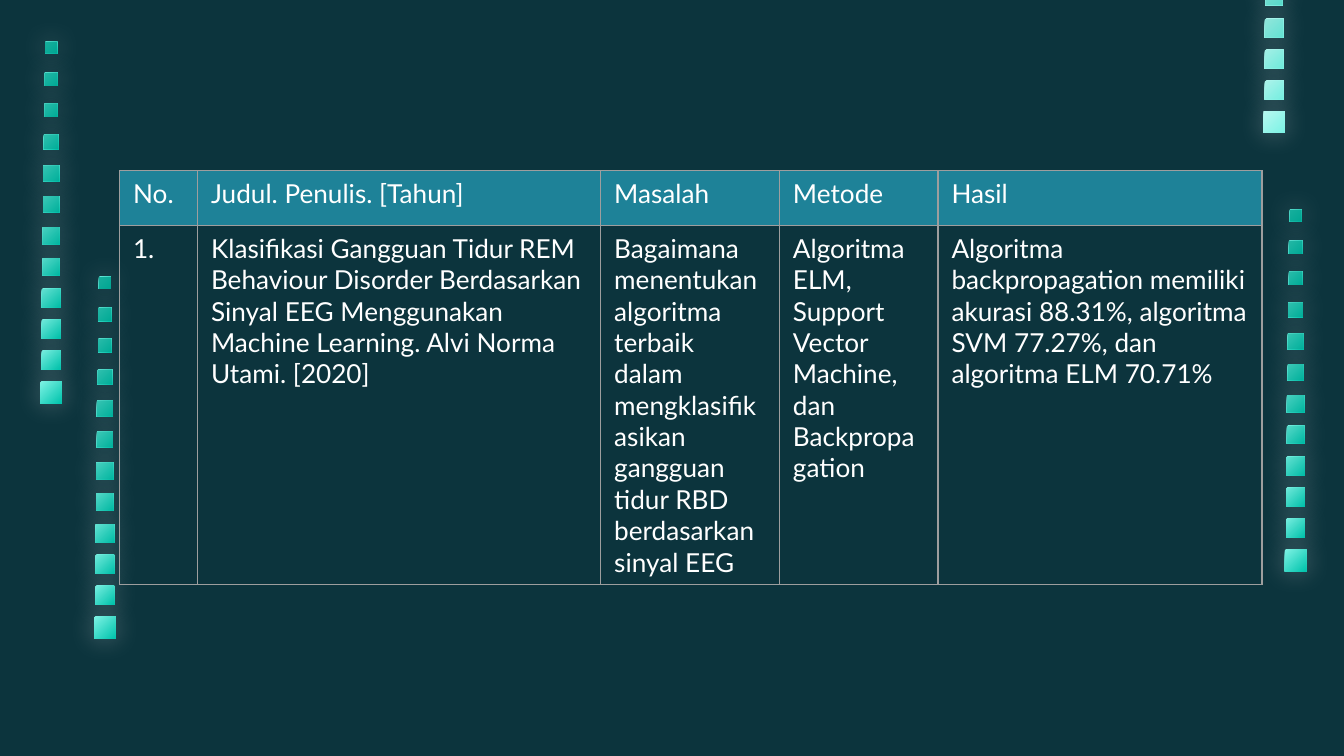
from lxml import etree
from pptx import Presentation
from pptx.dml.color import RGBColor
from pptx.enum.shapes import MSO_SHAPE
from pptx.oxml.ns import qn
from pptx.util import Inches, Pt

RECT = MSO_SHAPE.RECTANGLE
WIDE = Inches(10)
SIZE = {"slide_width": WIDE, "slide_height": WIDE * 9 // 16}
HEX = {
    "back": "0C343D", "head": "1E8298", "edge": "9E9E9E", "text": "FFFFFF",
    "glow": "FFFFFF", "pale": "B6F8F0", "mint": "7DF3E5", "teal": "02C5AE",
    "veil": "009F8C",
}
FONT = {"name": "Lato", "size": Pt(14), "bold": False}
STYLE = {"first_row": False, "horz_banding": False}

STEP = 0.23
SIZES = [0.16, 0.14, 0.14, 0.14, 0.13, 0.13, 0.12, 0.12, 0.11, 0.1, 0.1, 0.09]
VEILS = [0, 5, 10, 20, 30, 40, 50, 55, 60, 65, 70, 80]
TRAILS = [
    (0.38, 2.84, 12, ("mint", "teal")),
    (9.64, 4.09, 12, ("mint", "teal")),
    (0.78, 4.59, 12, ("mint", "teal")),
    (9.48, 0.83, 5, ("pale", "mint")),
]

COLS = [0.58, 3, 1.33, 1.18, 2.41]
ROWS = [0.41, 2.67]
CELLS = [
    ["No.", "Judul. Penulis. [Tahun]", "Masalah", "Metode", "Hasil"],
    [
        "1.",
        "Klasifikasi Gangguan Tidur REM Behaviour Disorder Berdasarkan "
        "Sinyal EEG Menggunakan Machine Learning. Alvi Norma Utami. [2020]",
        "Bagaimana menentukan algoritma terbaik dalam mengklasifikasikan "
        "gangguan tidur RBD berdasarkan sinyal EEG",
        "Algoritma ELM, Support Vector Machine, dan Backpropagation",
        "Algoritma backpropagation memiliki akurasi 88.31%, algoritma "
        "SVM 77.27%, dan algoritma ELM 70.71%",
    ],
]


def color(key):
    return RGBColor.from_string(HEX[key])


def apply(item, values):
    for name, value in values.items():
        setattr(item, name, value)


def add_node(parent, tag, **attrs):
    node = etree.SubElement(parent, qn(tag))
    for name, value in attrs.items():
        node.set(name, str(value))
    return node


def add_square(slide, mid, top, size):
    shape = slide.shapes.add_shape(
        RECT, Inches(mid - size / 2), Inches(top), Inches(size), Inches(size))
    shape.shadow.inherit = False
    shape.line.fill.background()
    return shape


def add_glow(shape):
    effects = shape._element.spPr.find(qn("a:effectLst"))
    glow = add_node(effects, "a:outerShdw", blurRad=Pt(14.6), dist=0, dir=0,
                    algn="ctr", rotWithShape=0)
    tint = add_node(glow, "a:srgbClr", val=HEX["glow"])
    add_node(tint, "a:alpha", val=31000)


def add_tile(slide, mid, top, size, tones):
    tile = add_square(slide, mid, top, size)
    tile.fill.gradient()
    tile.fill.gradient_angle = 315
    for stop, tone in zip(tile.fill.gradient_stops, tones):
        stop.color.rgb = color(tone)
    add_glow(tile)


def add_veil(slide, mid, top, size, alpha):
    veil = add_square(slide, mid, top, size)
    veil.fill.solid()
    veil.fill.fore_color.rgb = color("veil")
    tint = veil._element.spPr.find(".//" + qn("a:srgbClr"))
    add_node(tint, "a:alpha", val=alpha * 1000)


def add_trail(slide, mid, base, count, tones):
    spots = [(mid, base - STEP * i, SIZES[i]) for i in range(count)]
    for spot in spots:
        add_tile(slide, *spot, tones)
    for spot, alpha in zip(spots[1:], VEILS[1:]):
        add_veil(slide, *spot, alpha)


def add_edges(cell):
    props = cell._tc.get_or_add_tcPr()
    for side in "LRTB":
        line = add_node(props, "a:ln" + side, w=Pt(0.75))
        fill = add_node(line, "a:solidFill")
        add_node(fill, "a:srgbClr", val=HEX["edge"])


def fill_cell(cell, text, is_head):
    add_edges(cell)
    if is_head:
        cell.fill.solid()
        cell.fill.fore_color.rgb = color("head")
    else:
        cell.fill.background()
    run = cell.text_frame.paragraphs[0].add_run()
    run.text = text
    apply(run.font, FONT)
    run.font.color.rgb = color("text")


def add_grid(slide):
    grid = slide.shapes.add_table(
        len(ROWS), len(COLS), Inches(0.89), Inches(1.27),
        Inches(sum(COLS)), Inches(sum(ROWS))).table
    apply(grid, STYLE)
    for col, width in zip(grid.columns, COLS):
        col.width = Inches(width)
    for r, (row, height) in enumerate(zip(grid.rows, ROWS)):
        row.height = Inches(height)
        for cell, text in zip(row.cells, CELLS[r]):
            fill_cell(cell, text, r == 0)


def main():
    deck = Presentation()
    apply(deck, SIZE)
    slide = deck.slides.add_slide(deck.slide_layouts[6])
    slide.background.fill.solid()
    slide.background.fill.fore_color.rgb = color("back")
    for trail in TRAILS:
        add_trail(slide, *trail)
    add_grid(slide)
    deck.save("out.pptx")


if __name__ == "__main__":
    main()
